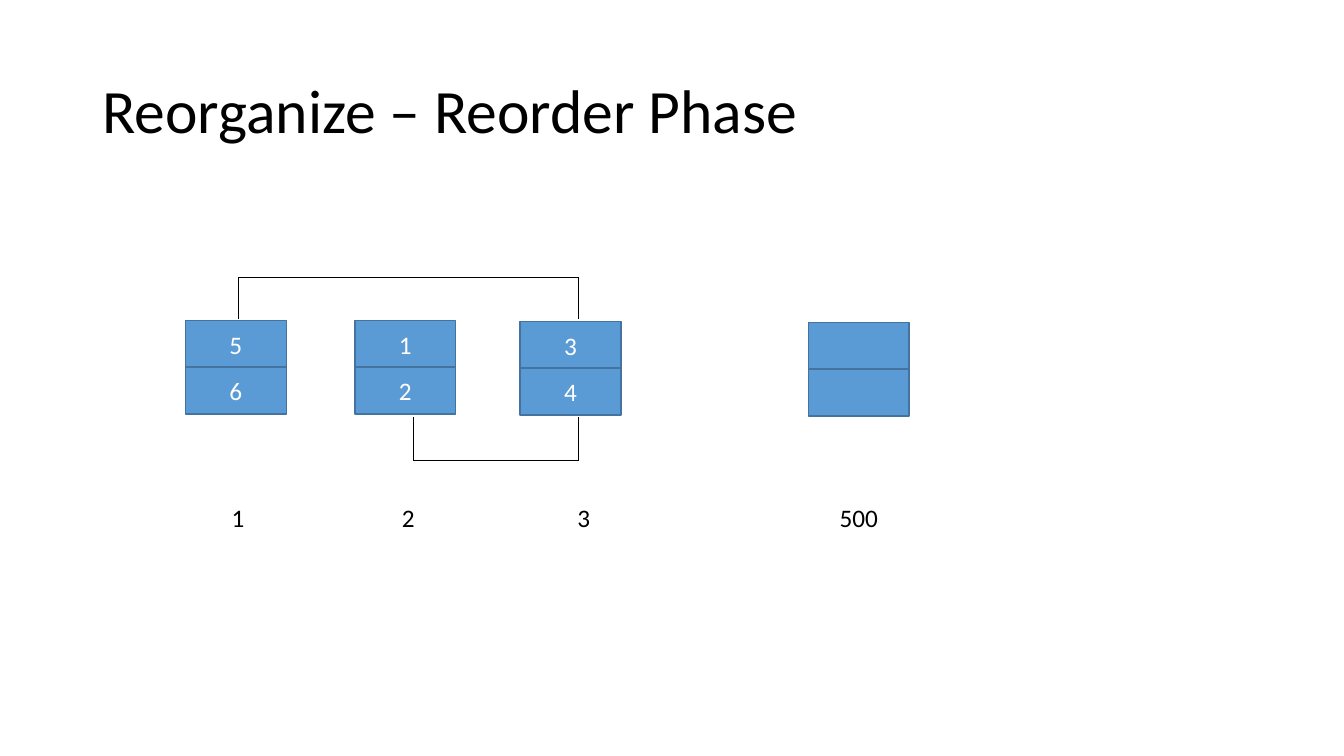
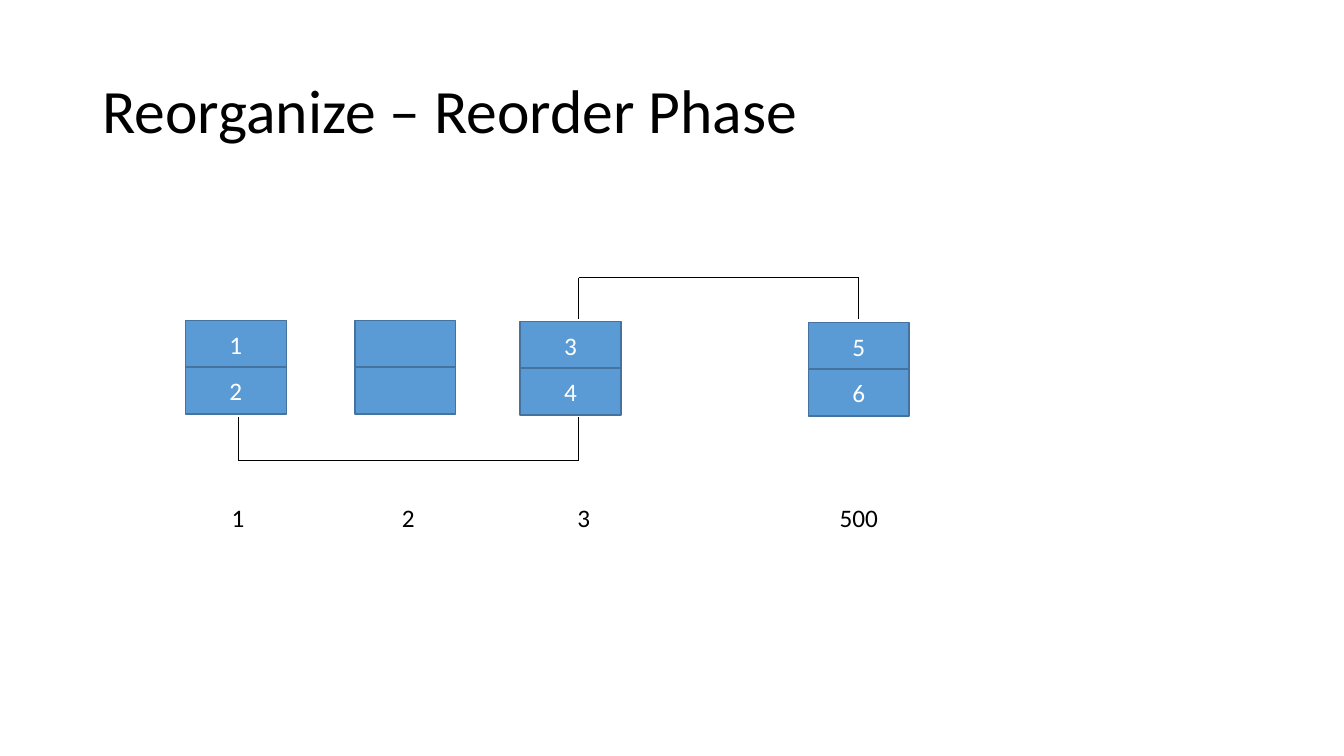
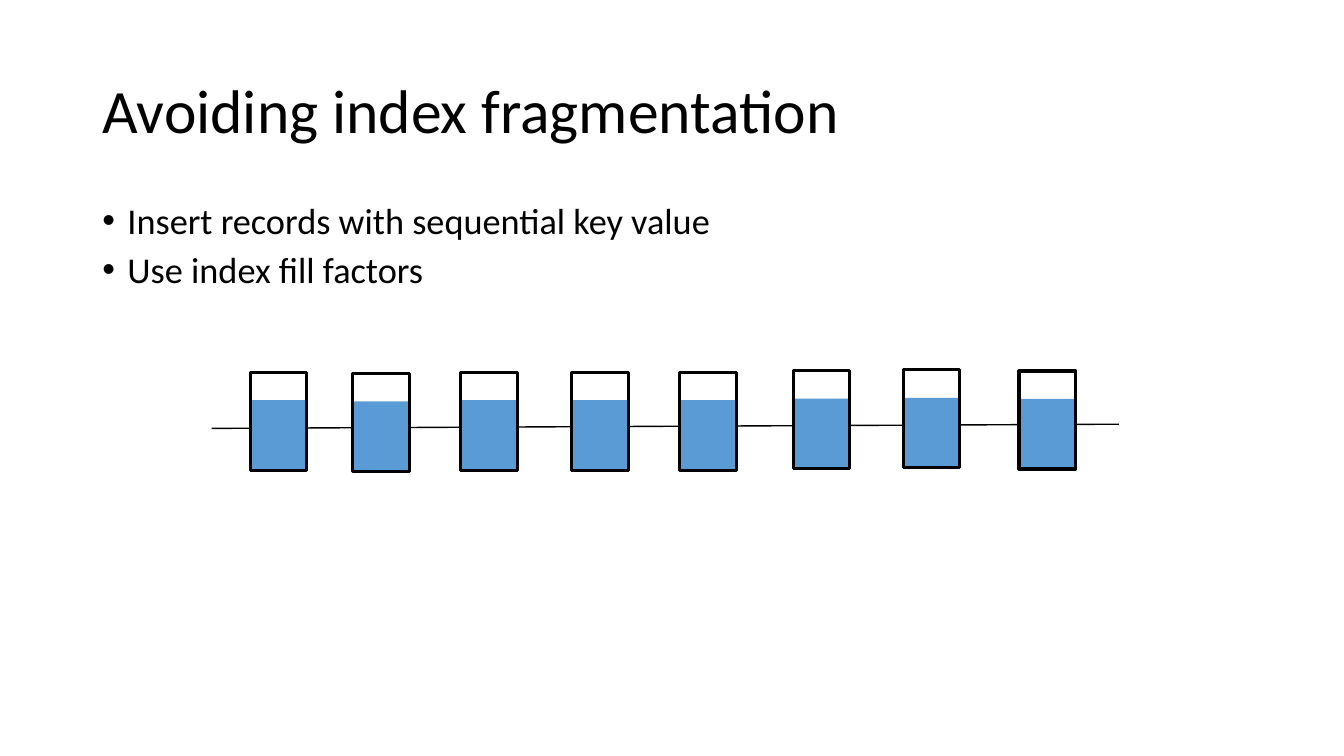
from lxml import etree
from pptx import Presentation
from pptx.dml.color import RGBColor
from pptx.enum.shapes import MSO_CONNECTOR, MSO_SHAPE
from pptx.enum.text import MSO_ANCHOR, PP_ALIGN
from pptx.oxml.ns import qn
from pptx.util import Pt

RECTANGLE = MSO_SHAPE.RECTANGLE
STRAIGHT = MSO_CONNECTOR.STRAIGHT
CENTER = PP_ALIGN.CENTER
LEFT = PP_ALIGN.LEFT
MIDDLE = MSO_ANCHOR.MIDDLE
TOP = MSO_ANCHOR.TOP

# Shared style
FONT = "Calibri"
COLORS = {"text": "000000", "light": "FFFFFF", "fill": "5B9BD5", "edge": "43739E"}
BLANK = 6

# Index pages: left, top, label left, x where brackets attach
PAGES = {
    "1": (132.5, 229, 62, 170),
    "2": (253.5, 229, 183.6, 295.2),
    "3": (371.5, 229.7, 309, 413.3),
    "500": (577.4, 230.4, 505.5, 613.4),
}
PAGE_WIDTH, ROW_HEIGHT, ROW_STEP = 72, 33.6, 33.2
LABEL_TOP, LABEL_WIDTH, LABEL_HEIGHT = 355, 216, 29
UPPER_BRACKET = (198.4, 228)
LOWER_BRACKET = (328.6, 298)

# Partly filled pages: left, top
TANKS = [(178.8, 265.8), (252, 266.6), (329.2, 265.8), (408.4, 265.8),
         (485.4, 265.8), (566.6, 264.8), (645.2, 264.2), (727.9, 265)]
TANK_WIDTH, TANK_HEIGHT = 40.4, 70
LEVEL_WIDTH, LEVEL_HEIGHT, LEVEL_DROP = 39, 50.2, 20


def color(name):
    return RGBColor.from_string(COLORS[name])


def write(shape, lines, size, ink="text", align=LEFT, anchor=TOP, spacing=1):
    frame = shape.text_frame
    frame.word_wrap = True
    frame.vertical_anchor = anchor
    frame.text = "\n".join(lines)
    for para in frame.paragraphs:
        para.alignment = align
        para.line_spacing = spacing
        for span in para.runs:
            span.font.name = FONT
            span.font.size = Pt(size)
            span.font.color.rgb = color(ink)


def add_text(slide, at, lines, size, **style):
    box = slide.shapes.add_textbox(*map(Pt, at))
    write(box, lines, size, **style)
    return box


def add_box(slide, at, fill=None, line=None, line_width=1):
    box = slide.shapes.add_shape(RECTANGLE, *map(Pt, at))
    box.shadow.inherit = False
    if fill:
        box.fill.solid()
        box.fill.fore_color.rgb = color(fill)
    else:
        box.fill.background()
    if line:
        box.line.color.rgb = color(line)
        box.line.width = Pt(line_width)
    else:
        box.line.fill.background()
    return box


def add_line(slide, start, end, width):
    line = slide.shapes.add_connector(STRAIGHT, *map(Pt, (*start, *end)))
    line.line.color.rgb = color("text")
    line.line.width = Pt(width)
    etree.SubElement(line._element.spPr, qn("a:effectLst"))


def add_bullets(slide, at, lines):
    box = add_text(slide, at, lines, 25.9, spacing=0.8)
    for para in box.text_frame.paragraphs:
        para.space_before = Pt(10)
        properties = para._p.get_or_add_pPr()
        properties.set("marL", str(Pt(18)))
        properties.set("indent", str(-Pt(18)))
        etree.SubElement(properties, qn("a:buFont")).set("typeface", "Arial")
        etree.SubElement(properties, qn("a:buChar")).set("char", "•")


def add_slide(deck, title):
    slide = deck.slides.add_slide(deck.slide_layouts[BLANK])
    add_text(slide, (66, 28.8, 828, 104.4), [title], 44, anchor=MIDDLE, spacing=0.9)
    return slide


def add_page(slide, label, rows):
    left, top, label_left, _ = PAGES[label]
    for index, row in enumerate(rows):
        at = (left, top + index * ROW_STEP, PAGE_WIDTH, ROW_HEIGHT)
        box = add_box(slide, at, "fill", "edge")
        if row:
            write(box, [row], 18, ink="light", align=CENTER, anchor=MIDDLE)
    add_text(slide, (label_left, LABEL_TOP, LABEL_WIDTH, LABEL_HEIGHT),
             [label], 18, align=CENTER)


def add_bracket(slide, first, last, heights):
    bar, leg_end = heights
    ends = [PAGES[label][3] for label in (first, last)]
    add_line(slide, (ends[0], bar), (ends[1], bar), 0.5)
    for x in ends:
        add_line(slide, (x, bar), (x, leg_end), 0.5)


def add_reorder_slide(deck, contents, upper, lower):
    slide = add_slide(deck, "Reorganize – Reorder Phase")
    for label, rows in zip(PAGES, contents):
        add_page(slide, label, rows)
    add_bracket(slide, *upper, UPPER_BRACKET)
    add_bracket(slide, *lower, LOWER_BRACKET)


def add_fill_factor_slide(deck):
    slide = add_slide(deck, "Avoiding index fragmentation")
    add_bullets(slide, (66, 144, 828, 70),
                ["Insert records with sequential key value", "Use index fill factors"])
    add_line(slide, (151.2, 306), (799.2, 303), 1)
    for left, top in TANKS:
        add_box(slide, (left + 0.8, top + LEVEL_DROP, LEVEL_WIDTH, LEVEL_HEIGHT), "fill")
        add_box(slide, (left, top, TANK_WIDTH, TANK_HEIGHT), line="text", line_width=2.25)


def main():
    deck = Presentation()
    deck.slide_width, deck.slide_height = Pt(960), Pt(540)
    add_reorder_slide(deck, ["56", "12", "34", ("", "")], ("1", "3"), ("2", "3"))
    add_reorder_slide(deck, ["12", ("", ""), "34", "56"], ("3", "500"), ("1", "3"))
    add_fill_factor_slide(deck)
    deck.save("out.pptx")


if __name__ == "__main__":
    main()
